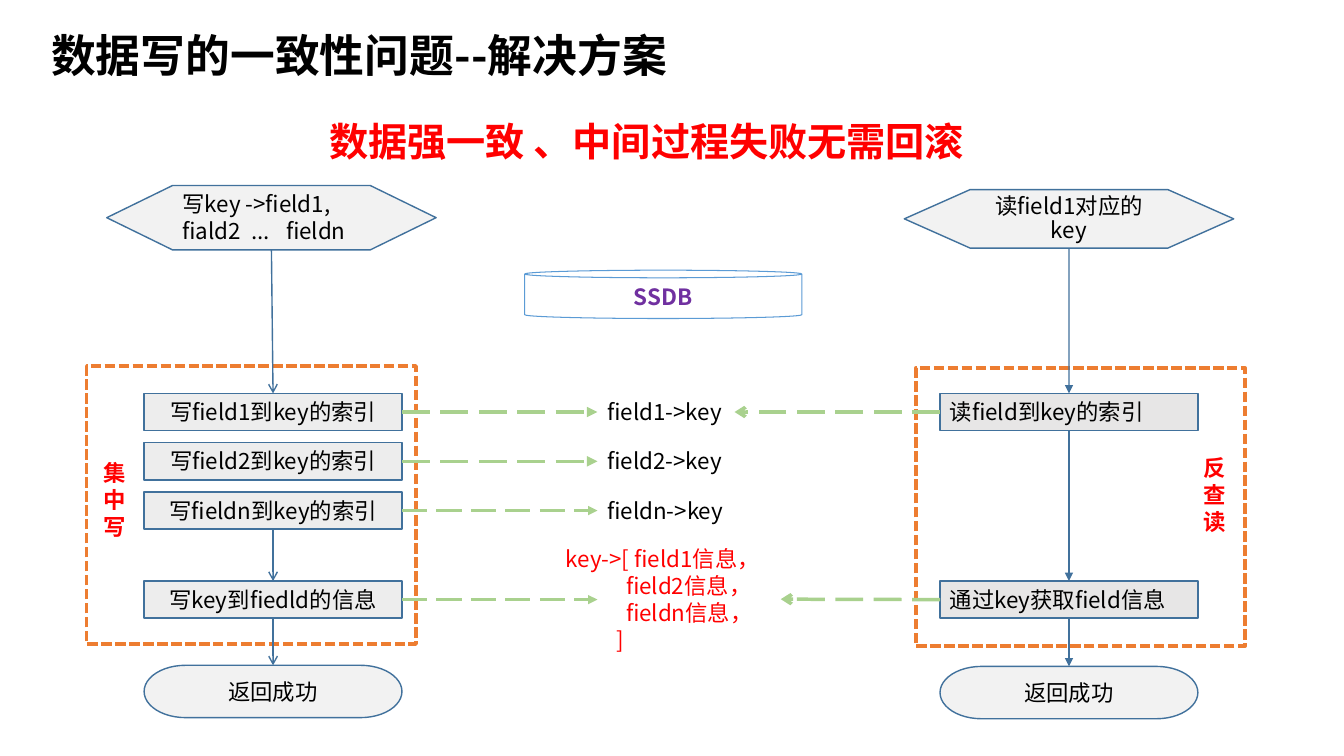
from dataclasses import dataclass

from lxml import etree
from pptx import Presentation
from pptx.dml.color import RGBColor
from pptx.enum.dml import MSO_LINE
from pptx.enum.shapes import MSO_CONNECTOR, MSO_SHAPE
from pptx.enum.text import MSO_ANCHOR, PP_ALIGN
from pptx.oxml.ns import qn
from pptx.shapes.autoshape import Shape
from pptx.shapes.connector import Connector
from pptx.slide import Slide
from pptx.text.text import TextFrame
from pptx.util import Pt

FONT = "Noto Sans CJK SC"
BLACK = RGBColor(0x00, 0x00, 0x00)
RED = RGBColor(0xFF, 0x00, 0x00)
PURPLE = RGBColor(0x70, 0x30, 0xA0)
BLUE = RGBColor(0x5B, 0x9B, 0xD5)
STEEL = RGBColor(0x41, 0x71, 0x9C)
GREEN = RGBColor(0xA9, 0xD1, 0x8E)
ORANGE = RGBColor(0xED, 0x7D, 0x31)
PALE_GREY = RGBColor(0xF2, 0xF2, 0xF2)
WRITE_GREY = RGBColor(0xED, 0xED, 0xED)
READ_GREY = RGBColor(0xE7, 0xE6, 0xE6)

LEFT, CENTER = PP_ALIGN.LEFT, PP_ALIGN.CENTER
TOP, MIDDLE = MSO_ANCHOR.TOP, MSO_ANCHOR.MIDDLE
STRAIGHT = MSO_CONNECTOR.STRAIGHT
LONG_DASH, SHORT_DASH = MSO_LINE.LONG_DASH, MSO_LINE.SQUARE_DOT
CAN, RECTANGLE = MSO_SHAPE.CAN, MSO_SHAPE.RECTANGLE
PREPARATION = MSO_SHAPE.FLOWCHART_PREPARATION
PROCESS = MSO_SHAPE.FLOWCHART_PROCESS
TERMINATOR = MSO_SHAPE.FLOWCHART_TERMINATOR
SITE_TOP, SITE_LEFT, SITE_BOTTOM, SITE_RIGHT = range(4)

WRITE_LEFT, READ_LEFT = 103, 671.8
STEP_WIDTH, STEP_HEIGHT = 184.3, 26.6
ENTRY_LEFT = 427
INDEX_TOPS = [281 + 35.2 * row for row in range(3)]
INFO_TOP = 415


@dataclass(frozen=True)
class Box:
    left: float
    top: float
    width: float
    height: float


@dataclass(frozen=True)
class Style:
    size: float = 16
    color: RGBColor = BLACK
    bold: bool = False
    align: PP_ALIGN = LEFT
    anchor: MSO_ANCHOR = TOP
    spacing: float = 1.0


@dataclass(frozen=True)
class Node:
    text: str
    box: Box
    kind: MSO_SHAPE
    fill: RGBColor | None
    style: Style
    line: RGBColor = STEEL
    line_width: float = 1


@dataclass(frozen=True)
class End:
    """A side of a shape, or a free point when no shape is given."""
    shape: Shape | None = None
    site: int = 0
    x: float = 0
    y: float = 0


CENTERED = Style(align=CENTER)
MIDDLED = Style(align=CENTER, anchor=MIDDLE)


def write_text(frame: TextFrame, text: str, style: Style,
               indents: tuple[float, ...] = (), tabs: tuple[float, ...] = ()) -> None:
    frame.word_wrap = True
    frame.vertical_anchor = style.anchor
    frame.text = text
    for number, paragraph in enumerate(frame.paragraphs):
        properties = paragraph._p.get_or_add_pPr()
        if indents:
            properties.set("marL", str(Pt(indents[number])))
        if tabs:
            stops = etree.SubElement(properties, qn("a:tabLst"))
            for position in tabs:
                etree.SubElement(stops, qn("a:tab"), pos=str(Pt(position)), algn="l")
        paragraph.alignment = style.align
        paragraph.line_spacing = style.spacing
        font = paragraph.font
        font.size, font.bold, font.name = Pt(style.size), style.bold, FONT
        font.color.rgb = style.color
        defaults = properties.find(qn("a:defRPr"))
        etree.SubElement(defaults, qn("a:ea"), typeface=FONT)


def add_label(slide: Slide, text: str, box: Box, style: Style = Style(),
              indents: tuple[float, ...] = ()) -> Shape:
    label = slide.shapes.add_textbox(Pt(box.left), Pt(box.top), Pt(box.width), Pt(box.height))
    write_text(label.text_frame, text, style, indents)
    return label


def add_node(slide: Slide, node: Node, tabs: tuple[float, ...] = ()) -> Shape:
    box = node.box
    shape = slide.shapes.add_shape(
        node.kind, Pt(box.left), Pt(box.top), Pt(box.width), Pt(box.height))
    shape.shadow.inherit = False
    if node.fill is None:
        shape.fill.background()
    else:
        shape.fill.solid()
        shape.fill.fore_color.rgb = node.fill
    shape.line.color.rgb = node.line
    shape.line.width = Pt(node.line_width)
    if node.text:
        write_text(shape.text_frame, node.text, node.style, tabs=tabs)
    return shape


def add_step(slide: Slide, text: str, left: float, top: float,
             fill: RGBColor, style: Style) -> Shape:
    return add_node(slide, Node(text, Box(left, top, STEP_WIDTH, STEP_HEIGHT),
                                PROCESS, fill, style))


def add_arrow(slide: Slide, start: End, end: End, color: RGBColor,
              width: float, head: str) -> Connector:
    arrow = slide.shapes.add_connector(
        STRAIGHT, Pt(start.x), Pt(start.y), Pt(end.x), Pt(end.y))
    if start.shape is not None:
        arrow.begin_connect(start.shape, start.site)
    if end.shape is not None:
        arrow.end_connect(end.shape, end.site)
    arrow.line.color.rgb = color
    arrow.line.width = Pt(width)
    if color == GREEN:
        arrow.line.dash_style = LONG_DASH
    etree.SubElement(arrow.line._get_or_add_ln(), qn("a:tailEnd"), type=head)
    etree.SubElement(arrow._element.spPr, qn("a:effectLst"))
    return arrow


def main() -> None:
    deck = Presentation()
    deck.slide_width, deck.slide_height = Pt(960.48), Pt(540)
    slide = deck.slides.add_slide(deck.slide_layouts[6])

    add_label(slide, "数据写的一致性问题--解决方案", Box(29.5, 5.8, 637.2, 66.2),
              Style(32, bold=True, anchor=MIDDLE))
    add_label(slide, "数据强一致 、中间过程失败无需回滚", Box(228.2, 79.9, 532.8, 41),
              Style(28, RED, True))

    database = add_node(slide, Node("SSDB", Box(375, 193, 198, 34.5), CAN, None,
                                    Style(16, PURPLE, True, CENTER), BLUE, 0.75))
    database.adjustments[0] = 0.157
    fields = ("field1", "field2", "fieldn")
    entries = [add_label(slide, f"{field}->key", Box(ENTRY_LEFT, top, 126, STEP_HEIGHT))
               for field, top in zip(fields, INDEX_TOPS)]
    info = add_label(slide, "key->[ field1信息，\nfield2信息，\nfieldn信息，\n]",
                     Box(397.4, 385.9, 160.6, 84.2), Style(color=RED), (0, 43, 43, 36))

    write_start = add_node(slide, Node("写key ->field1,\nfiald2\t...\tfieldn",
                                       Box(76.3, 132.5, 235.4, 46), PREPARATION,
                                       PALE_GREY, Style()), tabs=(49, 74))
    write_indexes = [add_step(slide, f"写{field}到key的索引", WRITE_LEFT, top, WRITE_GREY, CENTERED)
                     for field, top in zip(fields, INDEX_TOPS)]
    write_info = add_step(slide, "写key到fiedld的信息", WRITE_LEFT, INFO_TOP, WRITE_GREY, CENTERED)

    read_start = add_node(slide, Node("读field1对应的key", Box(646.3, 135.4, 235.4, 41.8),
                                      PREPARATION, PALE_GREY,
                                      Style(align=CENTER, anchor=MIDDLE, spacing=0.9)))
    read_index = add_step(slide, "读field到key的索引", READ_LEFT, INDEX_TOPS[0], READ_GREY, Style())
    read_info = add_step(slide, "通过key获取field信息", READ_LEFT, INFO_TOP, READ_GREY, Style())

    write_done, read_done = [
        add_node(slide, Node("返回成功", Box(left, top, STEP_WIDTH, 37.4),
                             TERMINATOR, PALE_GREY, MIDDLED))
        for left, top in ((WRITE_LEFT, 475.2), (READ_LEFT, 476))]

    for left, top in ((62, 261.4), (654.5, 262.8)):
        frame = add_node(slide, Node("", Box(left, top, 235.4, 198.7), RECTANGLE,
                                     None, Style(), ORANGE, 2.5))
        frame.line.dash_style = SHORT_DASH
    for text, left, top in (("集中写", 66.7, 324.7), ("反\n查\n读", 853.2, 321.1)):
        add_label(slide, text, Box(left, top, 31, 64.8), Style(color=RED, bold=True))

    for upper, lower, head in (
            (write_start, write_indexes[0], "arrow"),
            (write_indexes[2], write_info, "arrow"),
            (write_info, write_done, "arrow"),
            (read_start, read_index, "triangle"),
            (read_index, read_info, "triangle"),
            (read_info, read_done, "triangle")):
        add_arrow(slide, End(upper, SITE_BOTTOM), End(lower, SITE_TOP), STEEL, 1, head)

    info_middle = INFO_TOP + STEP_HEIGHT / 2
    index_middle = INDEX_TOPS[0] + STEP_HEIGHT / 2
    targets = [End(entry, SITE_LEFT) for entry in entries] + [End(x=ENTRY_LEFT, y=info_middle)]
    for step, target, width in zip([*write_indexes, write_info], targets, (2.5, 2.5, 2.25, 2.25)):
        add_arrow(slide, End(step, SITE_RIGHT), target, GREEN, width, "triangle")
    for step, target in ((read_index, End(x=525, y=index_middle)),
                         (read_info, End(info, SITE_RIGHT))):
        add_arrow(slide, End(step, SITE_LEFT), target, GREEN, 2.5, "arrow")

    deck.save("out.pptx")


if __name__ == "__main__":
    main()
